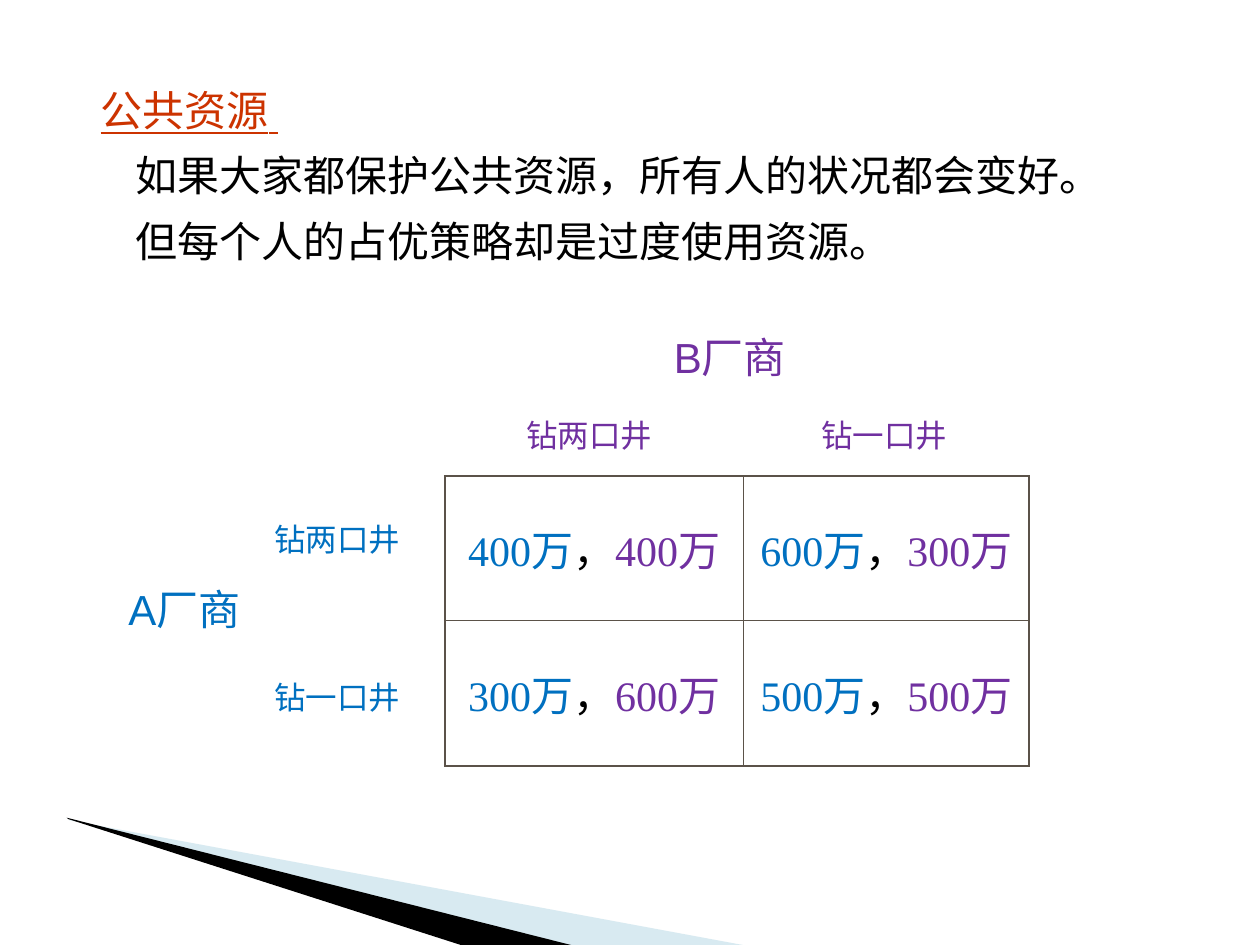
from lxml.etree import SubElement
from pptx import Presentation
from pptx.dml.color import RGBColor
from pptx.enum.lang import MSO_LANGUAGE_ID as Language
from pptx.enum.text import MSO_ANCHOR as Anchor, PP_ALIGN as Align
from pptx.oxml.ns import qn
from pptx.util import Inches, Pt

COLORS = {
    "heading": "CC3300", "text": "000000", "firm_a": "0070C0", "firm_b": "7030A0",
    "border": "5B5249", "pale_wedge": "9FCBDC", "dark_wedge": "000000",
}
CJK_FONT = "Noto Sans CJK SC"
STRATEGIES = ["钻两口井", "钻一口井"]
PAYOFFS = [
    [("400万", "400万"), ("600万", "300万")],
    [("300万", "600万"), ("500万", "500万")],
]


def rgb(name):
    return RGBColor.from_string(COLORS[name])


def set_font(paragraph, name, size, color):
    font = paragraph.font
    font.name, font.size = name, Pt(size)
    font.color.rgb = rgb(color)
    font.language_id = Language.SIMPLIFIED_CHINESE
    properties = paragraph._p.pPr.find(qn("a:defRPr"))
    SubElement(properties, qn("a:ea"), typeface=CJK_FONT)


def add_run(paragraph, text, color):
    run = paragraph.add_run()
    run.text = text
    run.font.color.rgb = rgb(color)
    return run


def add_wedge(slide, points, color, opacity=100):
    corners = [(Inches(x), Inches(y)) for x, y in points]
    builder = slide.shapes.build_freeform(*corners[0], scale=1.0)
    builder.add_line_segments(corners[1:], close=True)
    shape = builder.convert_to_shape()
    shape.shadow.inherit = False
    shape.line.fill.background()
    shape.fill.solid()
    shape.fill.fore_color.rgb = rgb(color)
    if opacity < 100:
        color_node = shape.fill._xPr.find(qn("a:solidFill"))[0]
        SubElement(color_node, qn("a:alpha"), val=str(opacity * 1000))


def add_corner_wedges(slide, left, top):
    def place(points):
        return [(left + x, top + y) for x, y in points]

    add_wedge(slide, place([(0.02, 0.02), (5.42, 1.02), (4.03, 1.02), (0.02, 0.01)]),
              "pale_wedge", 40)
    add_wedge(slide, place([(0, 0), (4.04, 1.02), (3.19, 1.03), (0.01, 0.01)]),
              "dark_wedge")


def add_text_frame(slide, left, top, width, height):
    box = slide.shapes.add_textbox(Inches(left), Inches(top), Inches(width), Inches(height))
    box.text_frame.word_wrap = True
    return box.text_frame


def add_introduction(slide, left, top, width, height):
    paragraph = add_text_frame(slide, left, top, width, height).paragraphs[0]
    paragraph.line_spacing = 1.3
    paragraph.space_before = Pt(6)
    properties = paragraph._p.get_or_add_pPr()
    properties.set("marL", str(Inches(0.4)))
    properties.set("indent", str(Inches(-0.28)))
    set_font(paragraph, CJK_FONT, 24, "text")
    add_run(paragraph, "公共资源", "heading").font.underline = True
    space = add_run(paragraph, " ", "heading")
    space.font.underline = space.font.italic = True
    paragraph.add_line_break()
    add_run(paragraph, "如果大家都保护公共资源，所有人的状况都会变好。"
                       "但每个人的占优策略却是过度使用资源。", "text")


def add_label(slide, text, left, top, width, height, size, color):
    paragraph = add_text_frame(slide, left, top, width, height).paragraphs[0]
    paragraph.text = text
    set_font(paragraph, "Arial", size, color)


def set_borders(cell, row, column):
    """Draw thick lines on the outside of the two-by-two grid, thin ones inside."""
    outer = {"lnL": column == 0, "lnR": column == 1, "lnT": row == 0, "lnB": row == 1}
    for side, is_outer in outer.items():
        line = SubElement(cell._tc.get_or_add_tcPr(), qn(f"a:{side}"),
                          w=str(Pt(1.08 if is_outer else 0.45)))
        fill = SubElement(line, qn("a:solidFill"))
        SubElement(fill, qn("a:srgbClr"), val=COLORS["border"])


def fill_payoff_cell(cell, payoff_a, payoff_b):
    cell.fill.background()
    cell.vertical_anchor = Anchor.MIDDLE
    paragraph = cell.text_frame.paragraphs[0]
    paragraph.alignment = Align.CENTER
    paragraph.space_before = Pt(6)
    set_font(paragraph, "Times New Roman", 24, "text")
    for text, color in [(payoff_a, "firm_a"), ("，", "text"), (payoff_b, "firm_b")]:
        add_run(paragraph, text, color)


def add_payoff_table(slide, left, top, widths, heights):
    frame = slide.shapes.add_table(2, 2, Inches(left), Inches(top),
                                   Inches(sum(widths)), Inches(sum(heights)))
    table = frame.table
    table.first_row = table.horz_banding = False
    for column, width in zip(table.columns, widths):
        column.width = Inches(width)
    for row, height in zip(table.rows, heights):
        row.height = Inches(height)
    for row, payoffs in enumerate(PAYOFFS):
        for column, pair in enumerate(payoffs):
            cell = table.cell(row, column)
            set_borders(cell, row, column)
            fill_payoff_cell(cell, *pair)


def add_game(slide, left, top):
    """Place the payoff table with the firm and strategy labels around it."""
    add_payoff_table(slide, left + 2.61, top + 1.2, [2.37, 2.27], [1.14, 1.16])
    add_label(slide, "B厂商", left + 4.33, top, 1.33, 0.5, 24, "firm_b")
    add_label(slide, "A厂商", left, top + 2, 1.33, 0.5, 24, "firm_a")
    for index, strategy in enumerate(STRATEGIES):
        add_label(slide, strategy, left + 3.16 + 2.34 * index, top + 0.67,
                  1.42, 0.4, 18, "firm_b")
        add_label(slide, strategy, left + 1.16, top + 1.5 + 1.25 * index,
                  1.42, 0.4, 18, "firm_a")


def main():
    presentation = Presentation()
    presentation.slide_width, presentation.slide_height = Inches(10), Inches(7.5)
    slide = presentation.slides.add_slide(presentation.slide_layouts[6])
    add_corner_wedges(slide, 0.53, 6.49)
    add_introduction(slide, 0.58, 0.5, 8.08, 1.66)
    add_game(slide, 0.92, 2.58)
    presentation.save("out.pptx")


if __name__ == "__main__":
    main()
